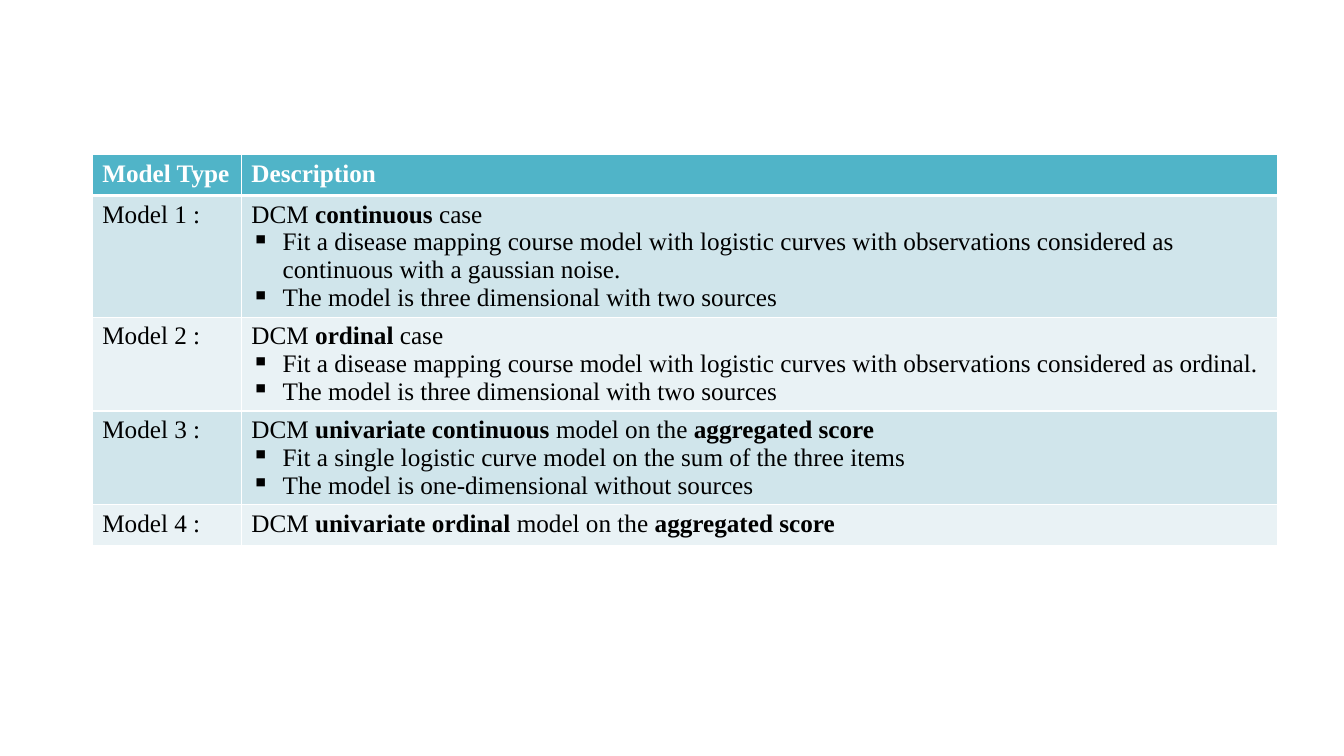
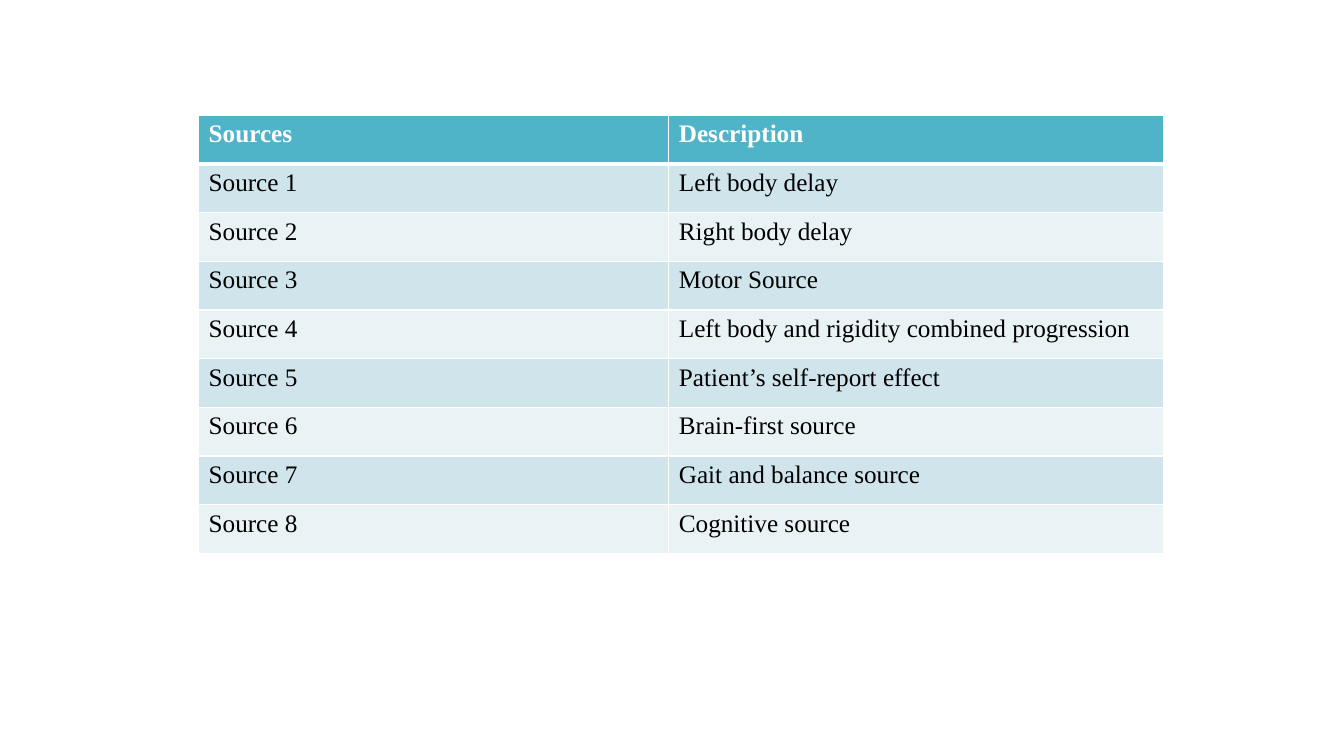
"""Builds two slides with banded tables of models and sources."""
from lxml import etree
from pptx import Presentation
from pptx import util as u
from pptx.dml.color import RGBColor
from pptx.oxml import ns

GRID = u.Inches(0.1)


def colour(value):
    """Turn a hex string into a colour."""
    return RGBColor.from_string(value)


class Deck:
    """Holds the style and the current slide."""

    HEADER = {"fill": "50B4C8", "text": "FFFFFF"}
    BANDS = [{"fill": "D0E5EB", "text": "000000"},
             {"fill": "E9F2F5", "text": "000000"}]
    FONT = {"name": "Times New Roman", "size": u.Pt(18)}
    BORDER = "FFFFFF"
    THIN, THICK = u.Pt(1), u.Pt(3)
    INDENT = u.Inches(0.31)

    def __init__(self, columns, rows):
        """Start a presentation measured in grid columns and rows."""
        self.presentation = Presentation()
        self.presentation.slide_width = self.grid(columns)
        self.presentation.slide_height = self.grid(rows)
        self.slide = None

    @staticmethod
    def grid(count):
        """Turn a number of grid steps into a length."""
        return u.Emu(round(count * GRID))

    def add_slide(self):
        """Add a blank slide and make it current."""
        layout = self.presentation.slide_layouts[6]
        self.slide = self.presentation.slides.add_slide(layout)

    def border(self, cell, row):
        """Draw the four borders, heavier below the header."""
        widths = {"L": self.THIN, "R": self.THIN,
                  "T": self.THICK if row == 1 else self.THIN,
                  "B": self.THICK if row == 0 else self.THIN}
        properties = cell._tc.get_or_add_tcPr()
        for side, width in widths.items():
            line = etree.SubElement(properties, ns.qn(f"a:ln{side}"), w=str(width))
            fill = etree.SubElement(line, ns.qn("a:solidFill"))
            etree.SubElement(fill, ns.qn("a:srgbClr"), val=self.BORDER)

    def bullet(self, paragraph):
        """Give a paragraph a square bullet and a hanging indent."""
        properties = paragraph._p.get_or_add_pPr()
        properties.set("marL", str(self.INDENT))
        properties.set("indent", str(-self.INDENT))
        etree.SubElement(properties, ns.qn("a:buChar"), char="▪")

    def add_text(self, paragraph, content, text_colour, bold):
        """Add text in which double asterisks enclose bold words."""
        for index, part in enumerate(content.split("**")):
            if part:
                run = paragraph.add_run()
                run.text = part
                for name, value in self.FONT.items():
                    setattr(run.font, name, value)
                run.font.bold = bold or index % 2 == 1
                run.font.color.rgb = colour(text_colour)

    def fill_cell(self, cell, row, content):
        """Style a cell and add its lead line and bullets."""
        style = self.BANDS[(row - 1) % 2] if row else self.HEADER
        self.border(cell, row)
        cell.fill.solid()
        cell.fill.fore_color.rgb = colour(style["fill"])
        frame = cell.text_frame
        for index, line in enumerate(content.split("\n")):
            paragraph = frame.add_paragraph() if index else frame.paragraphs[0]
            if index:
                self.bullet(paragraph)
            self.add_text(paragraph, line, style["text"], row == 0)

    def table(self, left, top, widths, row_height, rows):
        """Add a banded table placed on the grid."""
        size = (sum(widths), row_height * len(rows))
        frame = self.slide.shapes.add_table(
            len(rows), len(widths), *map(self.grid, (left, top, *size)))
        table = frame.table
        for column, width in zip(table.columns, widths):
            column.width = self.grid(width)
        for index, contents in enumerate(rows):
            table.rows[index].height = self.grid(row_height)
            for cell, content in zip(table.rows[index].cells, contents):
                self.fill_cell(cell, index, content)


MAPPING = ("Fit a disease mapping course model with logistic curves "
           "with observations considered as ")
THREE_DIMENSIONAL = "The model is three dimensional with two sources"
MODELS = [
    f"DCM **continuous** case\n{MAPPING}continuous with a gaussian noise.\n{THREE_DIMENSIONAL}",
    f"DCM **ordinal** case\n{MAPPING}ordinal.\n{THREE_DIMENSIONAL}",
    "DCM **univariate continuous** model on the **aggregated score**\n"
    "Fit a single logistic curve model on the sum of the three items\n"
    "The model is one-dimensional without sources",
    "DCM **univariate ordinal** model on the **aggregated score**",
]
SOURCES = [
    "Left body delay", "Right body delay", "Motor Source",
    "Left body and rigidity combined progression",
    "Patient’s self-report effect", "Brain-first source",
    "Gait and balance source", "Cognitive source",
]


def main():
    """Build and save the slides."""
    deck = Deck(133.33, 75)

    deck.add_slide()
    models = [(f"Model {number} :", model) for number, model in enumerate(MODELS, 1)]
    deck.table(9.15, 15.35, [14.8, 102.8], 4.05,
               [("Model Type", "Description"), *models])

    deck.add_slide()
    sources = [(f"Source {number}", source) for number, source in enumerate(SOURCES, 1)]
    deck.table(19.7, 11.45, [46.65, 49.1], 4.83,
               [("Sources", "Description"), *sources])

    deck.presentation.save("out.pptx")


if __name__ == "__main__":
    main()
